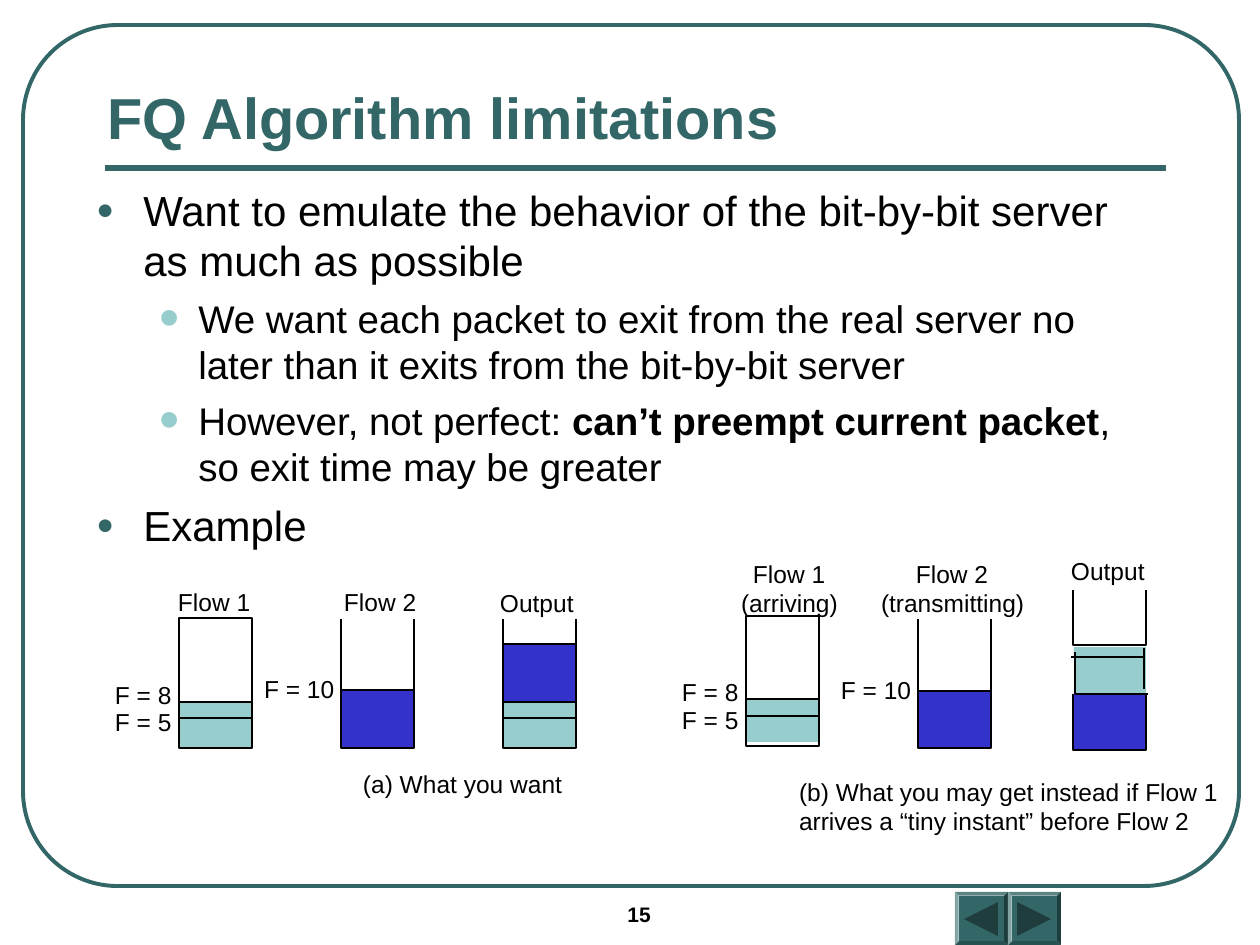
from dataclasses import dataclass
from lxml.etree import SubElement as Sub
from pptx import Presentation
from pptx.dml.color import RGBColor as Rgb
from pptx.enum.shapes import MSO_CONNECTOR as Link, MSO_SHAPE as Kind
from pptx.enum.text import MSO_ANCHOR as Anchor, MSO_AUTO_SIZE as Fit
from pptx.oxml.ns import qn
from pptx.util import Emu, Pt

SCALE = 914400 / 126
WIDE = 73


@dataclass(frozen=True)
class Theme:
    font: str = "Arial"
    green: str = "336666"
    dark: str = "1F3D3D"
    teal: str = "97CDCC"
    blue: str = "3333CC"
    black: str = "000000"
    title: int = 33
    main: int = 24
    minor: int = 22
    label: int = 14
    page: int = 12
    thin: float = 0.88


LOOK = Theme()


def px(*nums):
    return [Emu(round(n * SCALE)) for n in nums]


def style(par, size, color=LOOK.black, bold=False):
    for run in par.runs:
        run.font.name = LOOK.font
        run.font.size = Pt(size)
        run.font.bold = bold
        run.font.color.rgb = Rgb.from_string(color)


def paint(shape, fill, line, width=LOOK.thin):
    shape.shadow.inherit = False
    if fill:
        shape.fill.solid()
        shape.fill.fore_color.rgb = Rgb.from_string(fill)
    else:
        shape.fill.background()
    if line:
        shape.line.color.rgb = Rgb.from_string(line)
        shape.line.width = Pt(width)
    else:
        shape.line.fill.background()


def block(slide, x, y, w, h, fill=None, line=LOOK.black):
    shape = slide.shapes.add_shape(Kind.RECTANGLE, *px(x, y, w, h))
    paint(shape, fill, line)


def cup(slide, x, top, base):
    draft = slide.shapes.build_freeform(x, top, scale=SCALE)
    ends = [(x, base), (x + WIDE, base), (x + WIDE, top)]
    draft.add_line_segments(ends, close=False)
    paint(draft.convert_to_shape(), None, LOOK.black)


def line(slide, ends, color=LOOK.black, width=1):
    rule = slide.shapes.add_connector(Link.STRAIGHT, *px(*ends))
    rule.line.color.rgb = Rgb.from_string(color)
    rule.line.width = Pt(width)
    Sub(rule._element.spPr, qn("a:effectLst"))


def button(slide, x, turn):
    face = slide.shapes.add_shape(Kind.BEVEL, *px(x, 892, 53, 53))
    face.adjustments[0] = 0.07
    paint(face, LOOK.green, None)
    arrow = slide.shapes.add_shape(Kind.ISOSCELES_TRIANGLE, *px(x + 9, 902, 34, 34))
    arrow.rotation = turn
    paint(arrow, LOOK.dark, None)


def label(slide, x, y, w, h, text):
    frame = slide.shapes.add_textbox(*px(x, y, w, h)).text_frame
    frame.margin_left = frame.margin_right = 0
    frame.margin_top = frame.margin_bottom = 0
    frame.word_wrap = False
    frame.auto_size = Fit.SHAPE_TO_FIT_TEXT
    frame.paragraphs[0].text = text
    style(frame.paragraphs[0], LOOK.label)


def head(slide, box, text, size, color, anchor):
    frame = slide.shapes.add_textbox(*px(*box)).text_frame
    frame.word_wrap = True
    frame.vertical_anchor = anchor
    frame.text = text
    style(frame.paragraphs[0], size, color, True)


def bullet(par, level):
    left, hang, gap, color, part, mark = (
        (47, 47, 6, LOOK.green, 70, "●"),
        (102, 39, 5.5, LOOK.teal, 150, "•"),
    )[level]
    par.level = level
    par.space_before = Pt(gap)
    props = par._p.get_or_add_pPr()
    props.set("marL", str(px(left)[0]))
    props.set("indent", str(px(-hang)[0]))
    Sub(Sub(props, qn("a:buClr")), qn("a:srgbClr"), val=color)
    Sub(props, qn("a:buSzPct"), val=str(part * 1000))
    Sub(props, qn("a:buFont"), typeface=LOOK.font)
    Sub(props, qn("a:buChar"), char=mark)


def body(slide, items):
    frame = slide.shapes.add_textbox(*px(84, 178, 1071, 630)).text_frame
    frame.word_wrap = True
    for spot, (level, parts) in enumerate(items):
        par = frame.add_paragraph() if spot else frame.paragraphs[0]
        for part in parts:
            par.add_run().text = part
        style(par, (LOOK.main, LOOK.minor)[level])
        for run in par.runs[1:2]:
            run.font.bold = True
        bullet(par, level)


def decor(slide):
    frame = slide.shapes.add_shape(Kind.ROUNDED_RECTANGLE, *px(23, 25, 1216, 861))
    frame.adjustments[0] = 0.11
    paint(frame, None, LOOK.green, 2.25)
    line(slide, (105, 168, 1166, 168), LOOK.green, 3)
    button(slide, 955, 270)
    button(slide, 1008, 90)


def wanted(slide):
    for x in (179, 503):
        block(slide, x, 702, WIDE, 16, LOOK.teal)
        block(slide, x, 718, WIDE, 30, LOOK.teal)
    block(slide, 179, 618, WIDE, 84)
    block(slide, 341, 690, WIDE, 58, LOOK.blue)
    block(slide, 503, 644, WIDE, 58, LOOK.blue)
    cup(slide, 341, 619, 690)
    cup(slide, 503, 619, 644)


def actual(slide):
    block(slide, 746, 699, WIDE, 43, LOOK.teal, None)
    for y, h in ((699, 17), (716, 30), (616, 83)):
        block(slide, 746, y, WIDE, h)
    block(slide, 918, 691, WIDE, 57, LOOK.blue)
    cup(slide, 918, 619, 691)
    for y, h, fill in ((647, 16, LOOK.teal), (663, 30, LOOK.teal), (693, 58, LOOK.blue)):
        block(slide, 1074, y, 72, h, fill, None)
    cup(slide, 1073, 590, 645)
    cup(slide, 1073, 694, 750)
    for ends in (
        (1071, 657, 1144, 657),
        (1075, 694, 1148, 694),
        (1144, 689, 1144, 648),
        (1075, 652, 1075, 694),
    ):
        line(slide, ends)


def main():
    deck = Presentation()
    deck.slide_width, deck.slide_height = px(1260, 945)
    slide = deck.slides.add_slide(deck.slide_layouts[6])
    decor(slide)
    head(slide, (615, 895, 147, 42), "15", LOOK.page, LOOK.black, Anchor.TOP)
    head(slide, (95, 0, 1071, 157), "FQ Algorithm limitations",
         LOOK.title, LOOK.green, Anchor.BOTTOM)
    body(slide, [
        (0, ["Want to emulate the behavior of the bit-by-bit server as much as possible"]),
        (1, ["We want each packet to exit from the real server no later than "
             "it exits from the bit-by-bit server"]),
        (1, ["However, not perfect: ", "can’t preempt current packet",
             ", so exit time may be greater"]),
        (0, ["Example"]),
    ])
    wanted(slide)
    actual(slide)
    for x, y, w, text in (
        (178, 587, 73, "Flow 1"),
        (344, 587, 73, "Flow 2"),
        (500, 588, 74, "Output"),
        (115, 680, 57, "F = 8"),
        (115, 707, 57, "F = 5"),
        (264, 674, 71, "F = 10"),
        (363, 769, 200, "(a) What you want"),
        (753, 559, 73, "Flow 1"),
        (741, 588, 97, "(arriving)"),
        (916, 559, 73, "Flow 2"),
        (881, 588, 144, "(transmitting)"),
        (1071, 556, 74, "Output"),
        (682, 677, 57, "F = 8"),
        (682, 705, 57, "F = 5"),
        (841, 675, 71, "F = 10"),
    ):
        label(slide, x, y, w, 29, text)
    label(slide, 799, 777, 420, 59,
          "(b) What you may get instead if Flow 1\varrives a “tiny instant” before Flow 2")
    deck.save("out.pptx")


if __name__ == "__main__":
    main()
